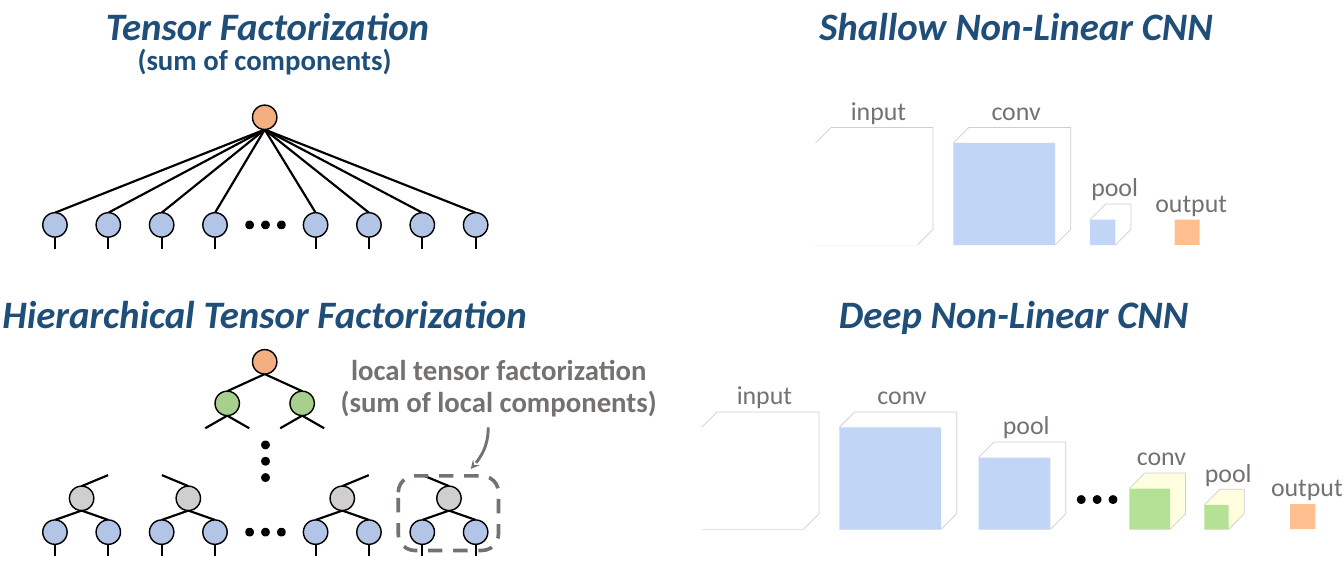
from lxml import etree
from pptx import Presentation
from pptx.dml.color import RGBColor
from pptx.enum.dml import MSO_LINE
from pptx.enum.shapes import MSO_CONNECTOR, MSO_SHAPE
from pptx.enum.text import MSO_ANCHOR, MSO_AUTO_SIZE, PP_ALIGN
from pptx.oxml.ns import qn
from pptx.util import Cm, Pt

NAVY, GRAY, BLACK, WHITE = "1F4E79", "767171", "000000", "FFFFFF"
LEAF_BLUE, ROOT_ORANGE, INNER_GREEN, INNER_GRAY = "B3C5E6", "F3AF81", "A7CF8D", "D0CECE"
CUBE_BLUE, CUBE_GREEN, CUBE_ORANGE = "C1D5F6", "B5E197", "FFBF8F"
PALE_YELLOW, EDGE = "FFFFE0", "CFCFCF"

# Lengths below are in centimetres.
TITLE = ("Tensor Factorization", 6.57, -0.08)
HEADINGS = [
    ("Shallow Non-Linear CNN", 24.95, -0.08),
    ("Hierarchical Tensor Factorization", 6.5, 6.99),
    ("Deep Non-Linear CNN", 24.89, 6.99),
]
SUBTITLE = "(sum of components)"
LOCAL_NOTE = ["local tensor factorization", "(sum of local components)"]

# Layers: label, left, size, depth, front colour, side colour
DEPTH = 0.38
SHALLOW_CNN = [
    ("input", 20.03, 2.5, DEPTH, WHITE, WHITE),
    ("conv", 23.41, 2.5, DEPTH, CUBE_BLUE, WHITE),
    ("pool", 26.77, 0.62, DEPTH, CUBE_BLUE, WHITE),
    ("output", 28.84, 0.62, 0, CUBE_ORANGE, None),
]
DEEP_CNN = [
    ("input", 17.23, 2.5, DEPTH, WHITE, WHITE),
    ("conv", 20.61, 2.5, DEPTH, CUBE_BLUE, WHITE),
    ("pool", 24.03, 1.76, DEPTH, CUBE_BLUE, WHITE),
    ("conv", 27.73, 1.0, DEPTH, CUBE_GREEN, PALE_YELLOW),
    ("pool", 29.57, 0.6, DEPTH, CUBE_GREEN, PALE_YELLOW),
    ("output", 31.68, 0.62, 0, CUBE_ORANGE, None),
]

TREE_X = 6.5
LEAF_STEP = 1.31
LEAF_XS = [start + LEAF_STEP * i for start in (1.35, 7.75) for i in range(4)]
RADIUS = 0.3
DOT_RADIUS, DOT_STEP = 0.09, 0.39
ARROW_CURVE = [(11.99, 10.49), (11.99, 10.92), (11.84, 11.21), (11.56, 11.51)]

presentation = Presentation()
presentation.slide_width, presentation.slide_height = Cm(33), Cm(13.89)
slide = presentation.slides.add_slide(presentation.slide_layouts[5])
shapes = slide.shapes


def rgb(color):
    return RGBColor.from_string(color)


def style(shape, fill=None, line=None, width=1):
    shape.shadow.inherit = False
    if fill:
        shape.fill.solid()
        shape.fill.fore_color.rgb = rgb(fill)
    else:
        shape.fill.background()
    if line:
        shape.line.color.rgb = rgb(line)
        shape.line.width = Pt(width)
    else:
        shape.line.fill.background()
    return shape


def write(box, lines, center, top, width, height, size, color,
          bold=False, italic=False, spacing=None):
    """Place a text shape around a centre line and fill it."""
    box.left, box.top = Cm(center - width / 2), Cm(top)
    box.width, box.height = Cm(width), Cm(height)
    frame = box.text_frame
    frame.auto_size = MSO_AUTO_SIZE.NONE
    frame.word_wrap = False
    frame.vertical_anchor = MSO_ANCHOR.TOP
    frame.margin_left = frame.margin_right = 0
    for index, line in enumerate(lines):
        paragraph = frame.add_paragraph() if index else frame.paragraphs[0]
        paragraph.alignment = PP_ALIGN.CENTER
        if spacing:
            paragraph.line_spacing = Pt(spacing)
        run = paragraph.add_run()
        run.text = line
        font = run.font
        font.name, font.size = "Calibri", Pt(size)
        font.bold, font.italic = bold, italic
        font.color.rgb = rgb(color)


def add_text(*args, **kwargs):
    write(shapes.add_textbox(0, 0, 0, 0), *args, **kwargs)


def add_heading(box, text, center, top):
    write(box, [text], center, top, 13, 1.42, 27, NAVY, bold=True, italic=True)


def add_edge(x1, y1, x2, y2):
    edge = shapes.add_connector(MSO_CONNECTOR.STRAIGHT, Cm(x1), Cm(y1), Cm(x2), Cm(y2))
    edge.line.color.rgb = rgb(BLACK)
    edge.line.width = Pt(1.5)
    etree.SubElement(edge._element.spPr, qn("a:effectLst"))


def add_node(x, y, fill, radius=RADIUS):
    circle = shapes.add_shape(MSO_SHAPE.OVAL, Cm(x - radius), Cm(y - radius),
                              Cm(2 * radius), Cm(2 * radius))
    style(circle, fill, BLACK)


def add_dots(x, y, dx=DOT_STEP, dy=0):
    for i in (-1, 0, 1):
        add_node(x + i * dx, y + i * dy, BLACK, DOT_RADIUS)


def add_path(points):
    points = [(Cm(x), Cm(y)) for x, y in points]
    builder = shapes.build_freeform(*points[0])
    builder.add_line_segments(points[1:], close=False)
    return builder.convert_to_shape()


def add_leaves(y):
    for x in LEAF_XS:
        add_edge(x, y + RADIUS, x, y + RADIUS + 0.29)
        add_node(x, y, LEAF_BLUE)
    add_dots(TREE_X + 0.02, y)


def add_flat_tree(root_y, leaf_y):
    for x in LEAF_XS:
        add_edge(TREE_X, root_y + RADIUS, x, leaf_y - RADIUS)
    add_node(TREE_X, root_y, ROOT_ORANGE)
    add_leaves(leaf_y)


def add_deep_tree(root_y, green_y, gray_y, leaf_y):
    for x in (TREE_X - 0.92, TREE_X + 0.92):
        add_edge(TREE_X, root_y + RADIUS, x, green_y - RADIUS)
        for dx in (-0.54, 0.54):
            add_edge(x, green_y + RADIUS, x + dx, green_y + RADIUS + 0.31)
        add_node(x, green_y, INNER_GREEN)
    add_node(TREE_X, root_y, ROOT_ORANGE)
    add_dots(TREE_X + 0.02, 11.32, 0, 0.4)
    for index, pair in enumerate(zip(LEAF_XS[::2], LEAF_XS[1::2])):
        x = sum(pair) / 2
        for leaf_x in pair:
            add_edge(x, gray_y + RADIUS, leaf_x, leaf_y - RADIUS)
        parent_dx = -0.65 if index % 2 else 0.65
        add_edge(x, gray_y - RADIUS, x + parent_dx, gray_y - RADIUS - 0.27)
        add_node(x, gray_y, INNER_GRAY)
    add_leaves(leaf_y)


def add_network(layers, bottom):
    for label, left, size, depth, front_color, side_color in layers:
        top, right = bottom - size, left + size
        if depth:
            hull = [(left, top), (left + depth, top - depth), (right + depth, top - depth),
                    (right + depth, bottom - depth), (right, bottom), (left, bottom)]
            style(add_path(hull), side_color, EDGE, 0.5)
        front = shapes.add_shape(MSO_SHAPE.RECTANGLE, Cm(left), Cm(top), Cm(size), Cm(size))
        style(front, front_color)
        add_text([label], left + (size + depth) / 2 + 0.1, top - depth - 0.94,
                 1.8, 1.02, 18, GRAY)


def curve_points(start, control1, control2, end, steps=12):
    for i in range(steps + 1):
        t = i / steps
        yield tuple((1 - t) ** 3 * a + 3 * t * (1 - t) ** 2 * b
                    + 3 * t ** 2 * (1 - t) * c + t ** 3 * d
                    for a, b, c, d in zip(start, control1, control2, end))


add_heading(shapes.title, *TITLE)
for heading in HEADINGS:
    add_heading(shapes.add_textbox(0, 0, 0, 0), *heading)
add_text([SUBTITLE], TREE_X, 0.89, 13, 1.12, 20, NAVY, bold=True)

add_flat_tree(2.88, 5.52)
add_deep_tree(8.88, 9.9, 12.23, 13.06)
add_network(SHALLOW_CNN, 6.01)
add_network(DEEP_CNN, 12.99)
add_dots(26.94, 12.26)

local_frame = shapes.add_shape(MSO_SHAPE.ROUNDED_RECTANGLE,
                               Cm(9.78), Cm(11.68), Cm(2.46), Cm(1.83))
local_frame.adjustments[0] = 0.22
style(local_frame, line=GRAY, width=2.5).line.dash_style = MSO_LINE.DASH
add_text(LOCAL_NOTE, 12.25, 8.59, 8.36, 1.83, 20, GRAY, bold=True, spacing=22)
arrow = style(add_path(list(curve_points(*ARROW_CURVE))), line=GRAY, width=2)
etree.SubElement(arrow.line._get_or_add_ln(), qn("a:tailEnd"), type="stealth")

presentation.save("out.pptx")
